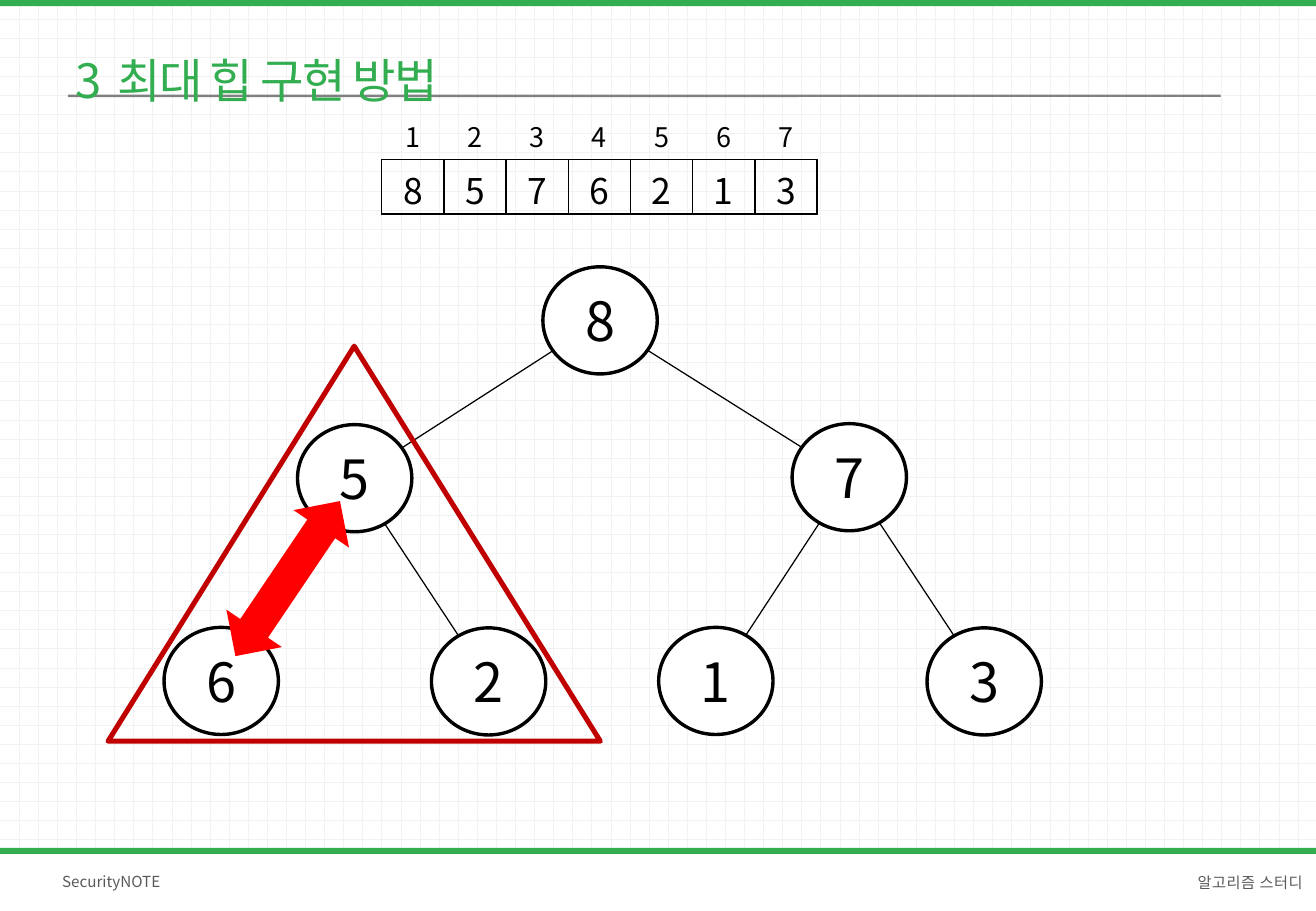
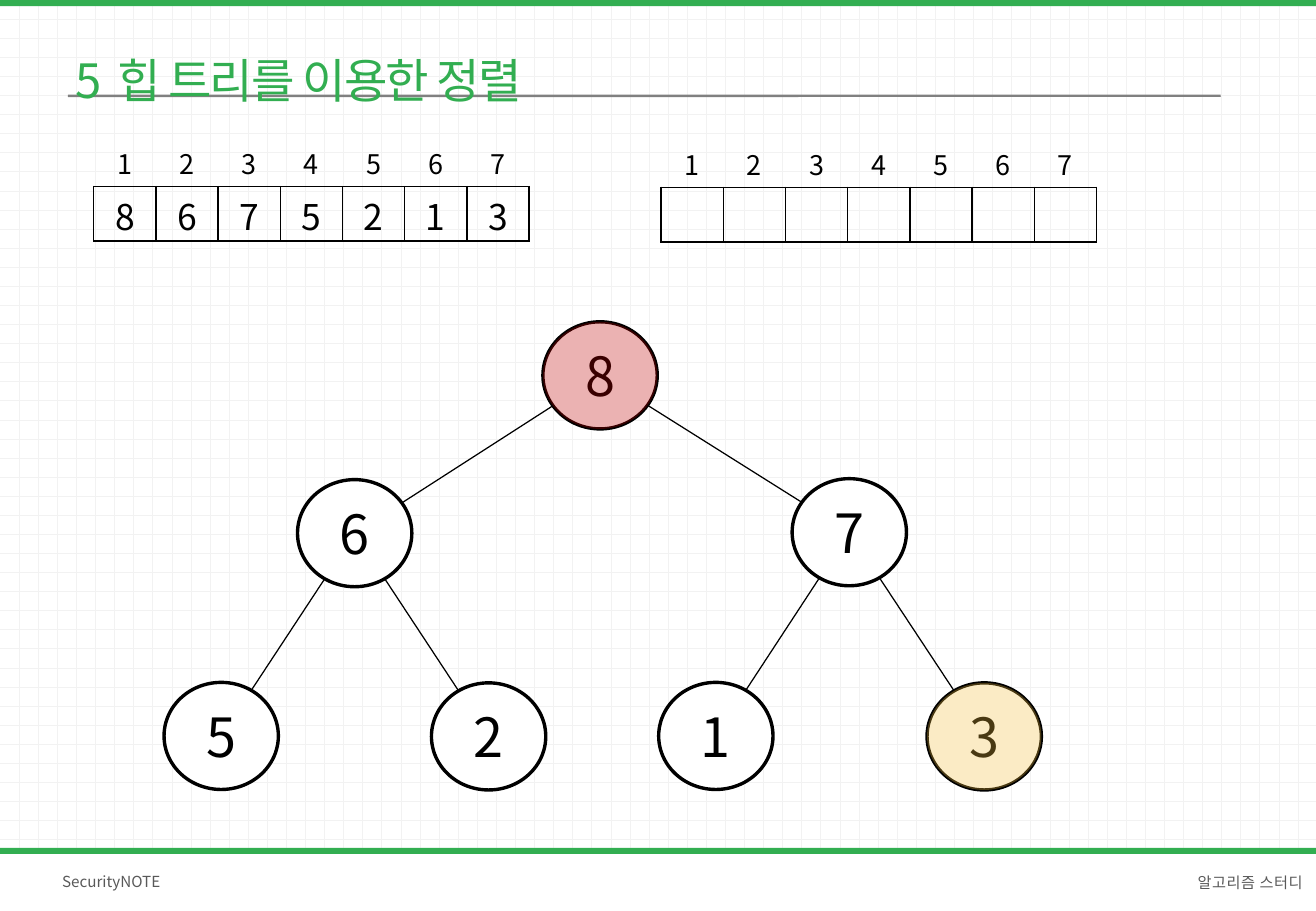
from lxml import etree
from pptx import Presentation
from pptx.dml.color import RGBColor
from pptx.enum import dml, shapes, text
from pptx.oxml import ns
from pptx.util import Cm, Pt

FONT = "Noto Sans CJK KR"
GREEN = RGBColor(0x32, 0xAE, 0x51)
RULE_GRAY = RGBColor(0x80, 0x80, 0x80)
FOOTER_GRAY = RGBColor(0x59, 0x59, 0x59)
GRID_GRAY = RGBColor(0xF2, 0xF2, 0xF2)
WHITE = RGBColor(0xFF, 0xFF, 0xFF)
BLACK = RGBColor(0, 0, 0)
DARK_RED = RGBColor(0xC0, 0, 0)
RED = RGBColor(0xFF, 0, 0)
YELLOW = RGBColor(0xF5, 0xC0, 0x40)

PAGE_WIDTH, PAGE_HEIGHT = 27.51, 19.05
FOOTER_TOP = 17.73
NO_TABLE_STYLE = "{2D5ABB26-0587-4C30-8999-92F81FD0307C}"
CELL_WIDTH, INDEX_HEIGHT, VALUE_HEIGHT = 1.3, 1.03, 1.14
NODE_WIDTH, NODE_HEIGHT = 2.39, 2.24
# Left and top of each heap node inside the tree, in heap order
NODE_SPOTS = [(7.92, 0), (2.79, 3.3), (13.13, 3.28),
              (0, 7.54), (5.59, 7.55), (10.34, 7.54), (15.95, 7.55)]
SHAPE = shapes.MSO_SHAPE
ALIGN = text.PP_ALIGN


def cm(*lengths):
    return [Cm(length) for length in lengths]


def write(para, content, size, color=BLACK, align=None, spacing=None):
    """Add one formatted run; spacing is the letter spacing in points."""
    if align is not None:
        para.alignment = align
    span = para.add_run()
    span.text = content
    span.font.size = Pt(size)
    span.font.name = FONT
    span.font.color.rgb = color
    properties = span.font._element
    etree.SubElement(properties, ns.qn("a:ea")).set("typeface", FONT)
    if spacing is not None:
        properties.set("spc", str(round(spacing * 100)))


def draw(page, kind, box, fill=None, line=None, weight=1, alpha=None):
    shape = page.shapes.add_shape(kind, *cm(*box))
    shape.shadow.inherit = False
    if fill is None:
        shape.fill.background()
    else:
        shape.fill.solid()
        shape.fill.fore_color.rgb = fill
        if alpha is not None:
            color = shape.fill._xPr.find(".//" + ns.qn("a:srgbClr"))
            etree.SubElement(color, ns.qn("a:alpha")).set("val", str(alpha * 1000))
    if line is None:
        shape.line.fill.background()
    else:
        shape.line.color.rgb = line
        shape.line.width = Pt(weight)
    return shape


def add_footer_text(page, box, content, align, spacing=None):
    frame = page.shapes.add_textbox(*cm(*box)).text_frame
    frame.word_wrap = True
    frame.vertical_anchor = text.MSO_ANCHOR.MIDDLE
    frame.margin_left = frame.margin_right = Cm(0.3)
    frame.margin_top = frame.margin_bottom = Cm(0.15)
    write(frame.paragraphs[0], content, 9, FOOTER_GRAY, align, spacing)
    return frame.paragraphs[0]


def add_page(deck, number, heading):
    """Add a page with its bands, rule, footer and title."""
    page = deck.slides.add_slide(deck.slide_layouts.get_by_name("Title Only"))

    # Bands and title rule
    draw(page, SHAPE.RECTANGLE, (0, 0, PAGE_WIDTH, 0.13), GREEN)
    draw(page, SHAPE.ROUNDED_RECTANGLE, (1.42, 1.98, 24.1, 0.05), RULE_GRAY)
    draw(page, SHAPE.RECTANGLE,
         (0, FOOTER_TOP, PAGE_WIDTH, PAGE_HEIGHT - FOOTER_TOP), WHITE)
    draw(page, SHAPE.RECTANGLE, (0, FOOTER_TOP, PAGE_WIDTH, 0.13), GREEN)

    # Footer
    left = add_footer_text(page, (1, 17.83, 5, 1.19), "SecurityNOTE", ALIGN.LEFT)
    left.space_before = Pt(5)
    right = add_footer_text(page, (21.28, 17.93, 6.25, 0.94), "알고리즘 스터디",
                            ALIGN.RIGHT, spacing=0.3)
    right.line_spacing = 1.3

    # Title, in front of the rule
    title = page.shapes.title
    page.shapes._spTree.append(title._element)
    title.left, title.top, title.width, title.height = cm(1.32, -0.25, 20.04, 2.64)
    frame = title.text_frame
    frame.word_wrap = True
    frame.auto_size = text.MSO_AUTO_SIZE.SHAPE_TO_FIT_TEXT
    frame.vertical_anchor = text.MSO_ANCHOR.TOP
    para = frame.paragraphs[0]
    para.line_spacing = 2.0
    para.space_before = Pt(6)
    write(para, f"{number} ", 28, GREEN, ALIGN.LEFT, spacing=1.65)
    write(para, heading, 28, GREEN, spacing=-1)
    return page


def outline_cell(cell):
    properties = cell._tc.get_or_add_tcPr()
    for side in "LRTB":
        border = etree.SubElement(properties, ns.qn(f"a:ln{side}"), w=str(Pt(1)))
        fill = etree.SubElement(border, ns.qn("a:solidFill"))
        etree.SubElement(fill, ns.qn("a:srgbClr"), val=str(BLACK))


def add_array(page, left, top, values):
    """Add a numbered row of cells; None leaves a cell empty."""
    width, height = CELL_WIDTH * len(values), INDEX_HEIGHT + VALUE_HEIGHT
    table = page.shapes.add_table(2, len(values), *cm(left, top, width, height)).table
    table.first_row = table.horz_banding = False
    table._tbl.tblPr.find(ns.qn("a:tableStyleId")).text = NO_TABLE_STYLE
    table.rows[0].height, table.rows[1].height = cm(INDEX_HEIGHT, VALUE_HEIGHT)
    for column, value in enumerate(values):
        table.columns[column].width = Cm(CELL_WIDTH)
        index_cell, value_cell = table.cell(0, column), table.cell(1, column)
        outline_cell(value_cell)
        for cell, content, size, margin in ((index_cell, column + 1, 16, 0.13),
                                            (value_cell, value, 21, 0.07)):
            cell.fill.background()
            cell.margin_top, cell.margin_bottom = cm(margin, 0)
            if content is not None:
                write(cell.text_frame.paragraphs[0], str(content), size,
                      align=ALIGN.CENTER)


def node_box(left, top, index):
    x, y = NODE_SPOTS[index]
    return left + x, top + y, NODE_WIDTH, NODE_HEIGHT


def node_center(left, top, index):
    x, y, width, height = node_box(left, top, index)
    return x + width / 2, y + height / 2


def add_tree(page, left, top, values, highlights=()):
    """Add a binary heap; highlights are pairs of node index and colour."""
    # Edges, from each parent to its child
    for child in range(1, len(values)):
        ends = node_center(left, top, (child - 1) // 2) + node_center(left, top, child)
        edge = page.shapes.add_connector(shapes.MSO_CONNECTOR.STRAIGHT, *cm(*ends))
        edge.line.color.rgb = BLACK
        edge.line.width = Pt(0.75)
        etree.SubElement(edge._element.spPr, ns.qn("a:effectLst"))

    # Nodes
    for index, value in enumerate(values):
        node = draw(page, SHAPE.OVAL, node_box(left, top, index), WHITE, BLACK, 2)
        node.text_frame.vertical_anchor = text.MSO_ANCHOR.MIDDLE
        write(node.text_frame.paragraphs[0], str(value), 32, align=ALIGN.CENTER)

    for index, color in highlights:
        draw(page, SHAPE.OVAL, node_box(left, top, index), color, alpha=30)


def add_swap(page, left, top):
    """Frame the left subtree and mark the swap of parent and left child."""
    draw(page, SHAPE.ISOSCELES_TRIANGLE, (left, top, 10.29, 8.26),
         line=DARK_RED, weight=3)
    arrow = draw(page, SHAPE.LEFT_RIGHT_ARROW, (left + 1.8, top + 4.16, 3.91, 1.4), RED)
    arrow.rotation = 304


def build_heap_page(deck):
    values = [8, 5, 7, 6, 2, 1, 3]
    page = add_page(deck, 3, "최대 힙 구현 방법")
    add_array(page, 7.98, 2.31, values)
    add_tree(page, 3.43, 5.58, values)
    add_swap(page, 2.26, 7.24)


def build_sort_page(deck):
    values = [8, 6, 7, 5, 2, 1, 3]
    page = add_page(deck, 5, "힙 트리를 이용한 정렬")
    add_array(page, 1.96, 2.87, values)
    add_tree(page, 3.43, 6.73, values, [(0, DARK_RED), (6, YELLOW)])
    add_array(page, 13.82, 2.89, [None] * len(values))


deck = Presentation()
deck.slide_width, deck.slide_height = cm(PAGE_WIDTH, PAGE_HEIGHT)

# Grid background for every page
backdrop = deck.slide_master.background.fill
backdrop.patterned()
backdrop.pattern = dml.MSO_PATTERN.DOTTED_GRID
backdrop.fore_color.rgb = GRID_GRAY
backdrop.back_color.rgb = WHITE

build_heap_page(deck)
build_sort_page(deck)
deck.save("out.pptx")
